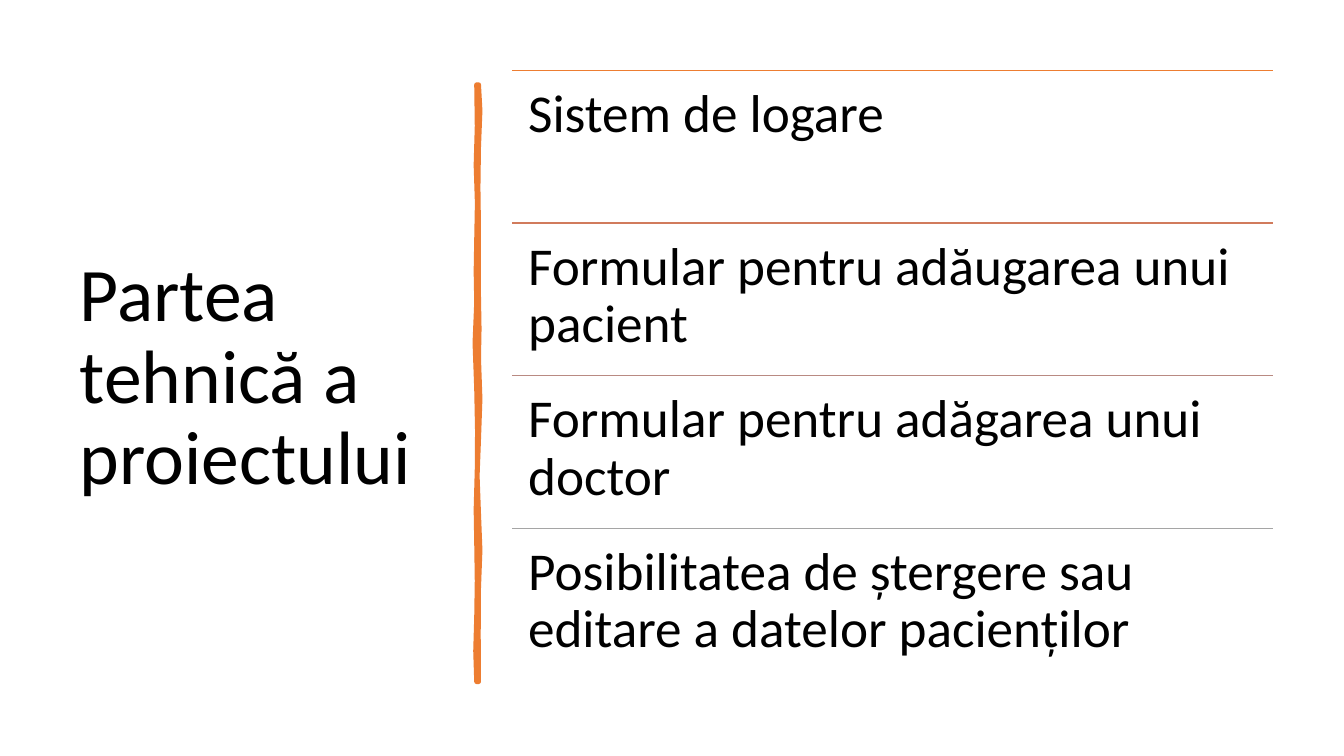
from lxml import etree
from pptx import Presentation
from pptx.dml.color import RGBColor
from pptx.enum.shapes import MSO_CONNECTOR
from pptx.enum.text import MSO_ANCHOR, MSO_AUTO_SIZE, PP_ALIGN
from pptx.oxml.ns import qn
from pptx.util import Pt

COLORS = {
    "text": "000000",
    "bar": "ED7D31",
    "rules": ["ED7D31", "D17B5C", "B98A82", "A5A5A5"],
}
FONT = "Calibri"
ITEMS = [
    "Sistem de logare",
    "Formular pentru adăugarea unui pacient",
    "Formular pentru adăgarea unui doctor",
    "Posibilitatea de ștergere sau editare a datelor pacienților",
]
LIST_LEFT, LIST_TOP, LIST_WIDTH, ROW_HEIGHT = 365.8, 50.4, 543.6, 109
# Hand-drawn bar: right edge downwards, then left edge upwards
BAR_RIGHT = [
    (342, 60.5), (343, 79), (342, 105), (341.6, 134), (342, 163),
    (342, 212), (342.4, 235), (342, 256), (343, 285), (342, 314),
    (341, 340), (342, 367), (343, 393), (342, 420), (341.8, 453), (342, 487),
]
BAR_LEFT = [
    (340.4, 487), (339.7, 465), (340.4, 441), (340.8, 415), (340.4, 388),
    (340, 364), (340.8, 335), (341, 308), (340.4, 278), (339.2, 245),
    (340.4, 216), (340, 194), (340.4, 171), (340.9, 145), (340, 118),
    (340.8, 90), (340.4, 60.5),
]


def rgb(value):
    return RGBColor.from_string(value)


def write(tf, text, size, anchor=MSO_ANCHOR.TOP, inset=None):
    tf.word_wrap = True
    tf.auto_size = MSO_AUTO_SIZE.NONE
    tf.vertical_anchor = anchor
    if inset is not None:
        tf.margin_left = tf.margin_right = Pt(inset)
        tf.margin_top = tf.margin_bottom = Pt(inset)
    p = tf.paragraphs[0]
    p.alignment = PP_ALIGN.LEFT
    p.line_spacing = 0.9
    r = p.add_run()
    r.text = text
    r.font.name = FONT
    r.font.size = Pt(size)
    r.font.color.rgb = rgb(COLORS["text"])


def add_title(s, text):
    title = s.shapes.title
    title.left, title.top = Pt(49.7), Pt(50.4)
    title.width, title.height = Pt(269.3), Pt(440)
    write(title.text_frame, text, 54, anchor=MSO_ANCHOR.MIDDLE)


def add_bar(s):
    start, *rest = [(Pt(x), Pt(y)) for x, y in BAR_RIGHT + BAR_LEFT]
    builder = s.shapes.build_freeform(*start)
    builder.add_line_segments(rest, close=True)
    sp = builder.convert_to_shape()
    sp.shadow.inherit = False
    sp.fill.solid()
    sp.fill.fore_color.rgb = rgb(COLORS["bar"])
    sp.line.color.rgb = rgb(COLORS["bar"])
    sp.line.width = Pt(3.25)


def add_rule(s, top, color):
    rule = s.shapes.add_connector(
        MSO_CONNECTOR.STRAIGHT,
        Pt(LIST_LEFT), Pt(top), Pt(LIST_LEFT + LIST_WIDTH), Pt(top))
    rule.line.color.rgb = rgb(color)
    rule.line.width = Pt(1)
    etree.SubElement(rule._element.spPr, qn("a:effectLst"))


def add_item(s, top, text):
    box = s.shapes.add_textbox(
        Pt(LIST_LEFT), Pt(top), Pt(LIST_WIDTH), Pt(ROW_HEIGHT))
    write(box.text_frame, text, 38, inset=11.4)


def main():
    prs = Presentation()
    prs.slide_width, prs.slide_height = Pt(960), Pt(540)
    s = prs.slides.add_slide(prs.slide_layouts.get_by_name("Title Only"))
    add_title(s, "Partea tehnică a proiectului")
    add_bar(s)
    for i, (text, color) in enumerate(zip(ITEMS, COLORS["rules"])):
        top = LIST_TOP + i * ROW_HEIGHT
        add_rule(s, top, color)
        add_item(s, top, text)
    prs.save("out.pptx")


if __name__ == "__main__":
    main()
